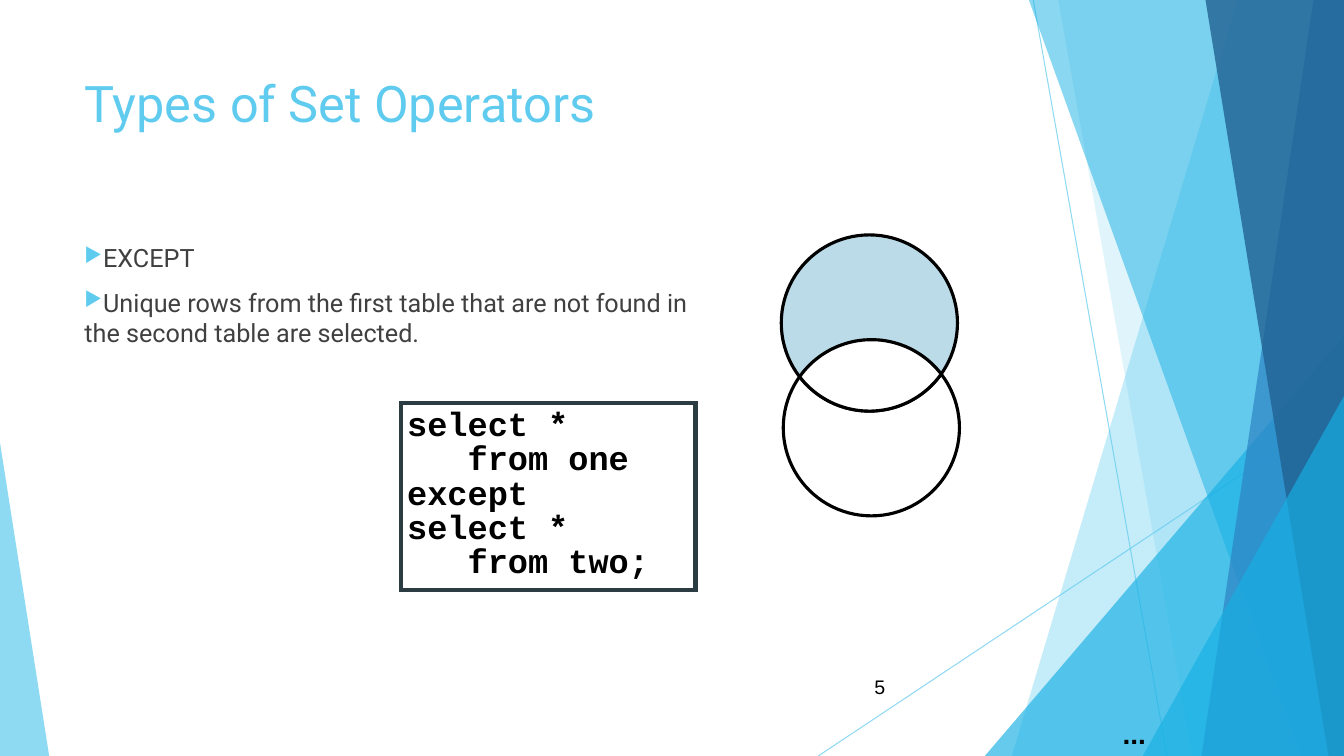
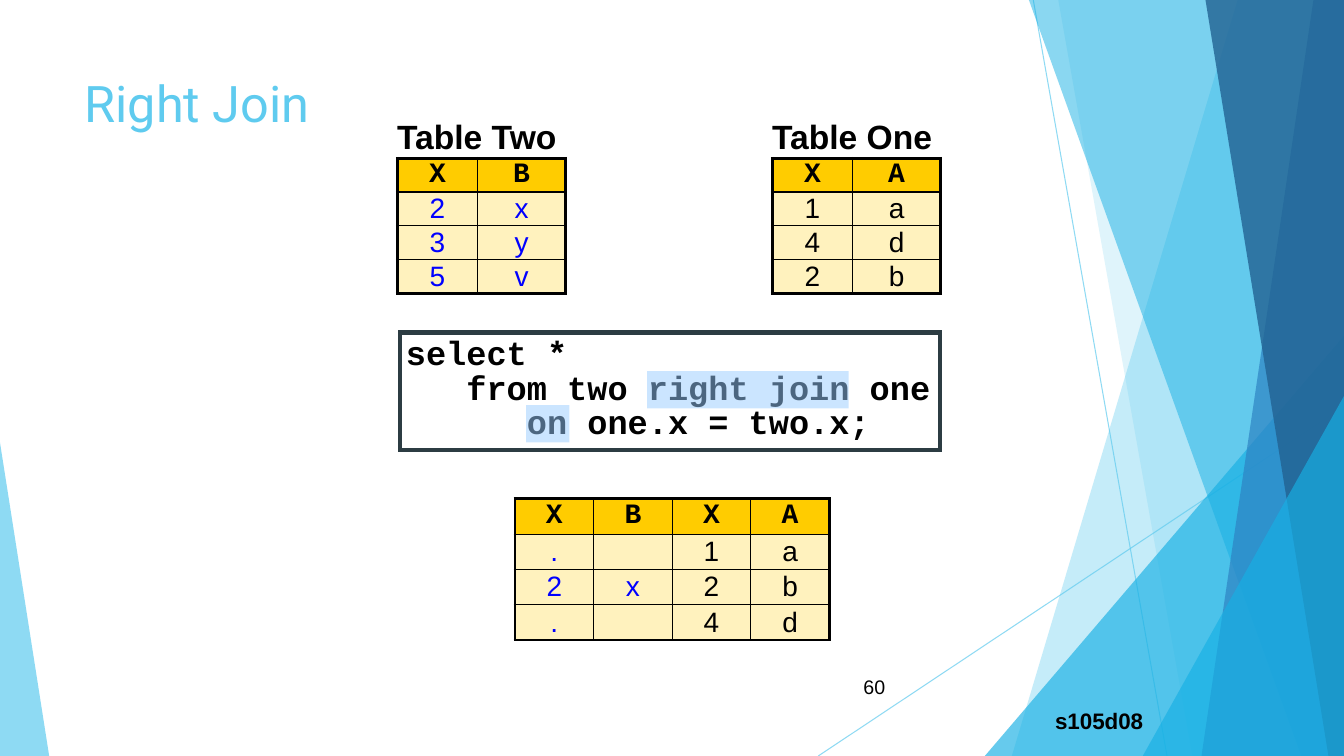
import math

import lxml.etree
import pptx
import pptx.dml.color
import pptx.enum.shapes
import pptx.enum.text
import pptx.oxml.ns
import pptx.util

Cm = pptx.util.Cm
Pt = pptx.util.Pt
RGB = pptx.dml.color.RGBColor
SHAPE = pptx.enum.shapes.MSO_SHAPE
ALIGN = pptx.enum.text.PP_ALIGN
ANCHOR = pptx.enum.text.MSO_ANCHOR
qn = pptx.oxml.ns.qn

SKY = RGB(0x5F, 0xCB, 0xEF)
CYAN = RGB(0x17, 0xB0, 0xE4)
BLUE = RGB(0x2E, 0x83, 0xC3)
NAVY = RGB(0x22, 0x62, 0x92)
GREY = RGB(0x40, 0x40, 0x40)
SLATE = RGB(0x2C, 0x3C, 0x43)
BLACK = RGB(0, 0, 0)
WHITE = RGB(0xFF, 0xFF, 0xFF)
PALE_BLUE = RGB(0xA9, 0xD3, 0xE1)
MARKER = RGB(0x99, 0xCC, 0xFF)
GOLD = RGB(0xFF, 0xCC, 0x00)
CREAM = RGB(0xFF, 0xF2, 0xBE)
LINK_BLUE = RGB(0, 0, 0xFF)

WIDTH, HEIGHT = 33.87, 19.05
RADIUS = 2.22
THICK, THIN = 2.25, 1

TITLE = {"name": "Roboto", "size": Pt(36)}
BODY = {"name": "Roboto", "size": Pt(18)}
PAGE = {"name": "Arial", "size": Pt(14)}
CODE = {"name": "Courier New", "size": Pt(24), "bold": True}
ELLIPSIS = {"name": "Arial", "size": Pt(20), "bold": True}
FILE_TAG = {"name": "Arial", "size": Pt(16), "bold": True}
CAPTION = {"name": "Arial", "size": Pt(24), "bold": True}
HEADER = {"name": "Courier New", "size": Pt(20), "bold": True}
VALUE = {"name": "Arial", "size": Pt(20), "bold": False}

BANDS = [
    ("band", 31.19, 25.5, SKY, 36),
    ("band", 26.67, 30.05, SKY, 20),
    ("corner", 24.82, 8.46, CYAN, 66),
    ("band", 25.93, 32.79, CYAN, 50),
    ("band", 33.1, 30.28, BLUE, 70),
    ("band", 30.38, 33.48, NAVY, 80),
    ("corner", 28.8, 9.98, CYAN, 66),
]


def set_attributes(target, values):
    for name, value in values.items():
        setattr(target, name, value)


def set_alpha(fill_parent, percent):
    color = next(fill_parent.iter(qn("a:srgbClr")))
    lxml.etree.SubElement(color, qn("a:alpha")).set("val", str(percent * 1000))


def paint(shape, fill=None, alpha=100, line=None, line_width=THICK):
    shape.shadow.inherit = False
    shape.fill.solid()
    shape.fill.fore_color.rgb = fill
    if alpha < 100:
        set_alpha(shape._element.spPr, alpha)
    if line is None:
        shape.line.fill.background()
    else:
        shape.line.color.rgb = line
        shape.line.width = Pt(line_width)


def add_preset(slide, kind, bounds, **look):
    shape = slide.shapes.add_shape(kind, *map(Cm, bounds))
    paint(shape, **look)
    return shape


def add_outline(slide, points, **look):
    corners = [(Cm(x), Cm(y)) for x, y in points]
    builder = slide.shapes.build_freeform(*corners[0], scale=1.0)
    builder.add_line_segments(corners[1:], close=True)
    paint(builder.convert_to_shape(), **look)


def add_corner(slide, bounds, apex, **look):
    add_preset(slide, SHAPE.ISOSCELES_TRIANGLE, bounds, **look).adjustments[0] = apex


def add_hairline(slide, *ends):
    line = slide.shapes.add_connector(
        pptx.enum.shapes.MSO_CONNECTOR.STRAIGHT, *map(Cm, ends))
    line.line.color.rgb = SKY
    line.line.width = Pt(0.75)
    properties = line._element.spPr
    set_alpha(properties, 70)
    lxml.etree.SubElement(properties, qn("a:effectLst"))


def write(paragraph, text, style, color, **layout):
    set_attributes(paragraph, layout)
    paragraph.text = text
    for run in paragraph.runs:
        set_attributes(run.font, style)
        run.font.color.rgb = color


def add_text(slide, bounds, text, style, color, frame_values=None, **layout):
    frame = slide.shapes.add_textbox(*map(Cm, bounds)).text_frame
    set_attributes(frame, {"word_wrap": True, **(frame_values or {})})
    write(frame.paragraphs[0], text, style, color, **layout)


def add_bullets(slide, bounds, items):
    frame = slide.shapes.add_textbox(*map(Cm, bounds)).text_frame
    frame.word_wrap = True
    for index, item in enumerate(items):
        paragraph = frame.add_paragraph() if index else frame.paragraphs[0]
        if index:
            paragraph.space_before = Pt(10)
        properties = paragraph._p.get_or_add_pPr()
        color = lxml.etree.SubElement(properties, qn("a:buClr"))
        lxml.etree.SubElement(color, qn("a:srgbClr")).set("val", str(SKY))
        lxml.etree.SubElement(properties, qn("a:buSzPct")).set("val", "80000")
        lxml.etree.SubElement(properties, qn("a:buChar")).set("char", "▶")
        write(paragraph, item, BODY, GREY)


def add_code(slide, bounds, lines):
    box = add_preset(slide, SHAPE.RECTANGLE, bounds,
                     fill=WHITE, line=SLATE, line_width=3)
    border = box._element.spPr.find(qn("a:ln"))
    lxml.etree.SubElement(border, qn("a:miter")).set("lim", "800000")
    frame = box.text_frame
    margins = dict.fromkeys(
        ("margin_left", "margin_right", "margin_top", "margin_bottom"), Cm(0.15))
    set_attributes(frame, {"word_wrap": True, "vertical_anchor": ANCHOR.TOP, **margins})
    for index, line in enumerate(lines):
        paragraph = frame.add_paragraph() if index else frame.paragraphs[0]
        write(paragraph, line, CODE, BLACK, alignment=ALIGN.LEFT, line_spacing=0.85)


def set_borders(cell, widths):
    properties = cell._tc.get_or_add_tcPr()
    for side, width in zip("LRTB", widths):
        line = lxml.etree.SubElement(properties, qn("a:ln" + side))
        line.set("w", str(Pt(width)))
        if width:
            fill = lxml.etree.SubElement(line, qn("a:solidFill"))
            lxml.etree.SubElement(fill, qn("a:srgbClr")).set("val", str(BLACK))
        else:
            lxml.etree.SubElement(line, qn("a:noFill"))


def add_data_table(slide, left, top, column_widths, caption_height, row_height,
                   caption, rows, blue_columns=0):
    last_row, last_column = len(rows), len(column_widths) - 1
    heights = [caption_height] + [row_height] * last_row
    table = slide.shapes.add_table(
        len(heights), len(column_widths), Cm(left), Cm(top),
        Cm(sum(column_widths)), Cm(sum(heights))).table
    set_attributes(table, {"first_row": False, "horz_banding": False})
    for column, width in zip(table.columns, column_widths):
        column.width = Cm(width)
    for row, height in zip(table.rows, heights):
        row.height = Cm(height)

    table.cell(0, 0).merge(table.cell(0, last_column))
    flat = {"margin_top": 0, "margin_bottom": 0, "vertical_anchor": ANCHOR.MIDDLE}
    for column in range(last_column + 1):
        cell = table.cell(0, column)
        set_attributes(cell, {**flat, "margin_left": 0, "margin_right": 0})
        set_borders(cell, (0, 0, 0, THICK))
        cell.fill.background()
    write(table.cell(0, 0).text_frame.paragraphs[0], caption, CAPTION, BLACK)

    for row, values in enumerate(rows, 1):
        is_header = row == 1
        for column, value in enumerate(values):
            cell = table.cell(row, column)
            set_attributes(cell, flat)
            on_edge = (column == 0, column == last_column, is_header, row == last_row)
            set_borders(cell, [THICK if edge else THIN for edge in on_edge])
            cell.fill.solid()
            cell.fill.fore_color.rgb = GOLD if is_header else CREAM
            is_blue = column < blue_columns and not is_header
            write(cell.text_frame.paragraphs[0], value,
                  HEADER if is_header else VALUE,
                  LINK_BLUE if is_blue else BLACK, alignment=ALIGN.CENTER)


def add_except_diagram(slide):
    first, second = (21.91, 8.14), (21.96, 10.78)
    for (x, y), fill, alpha in ((second, WHITE, 100), (first, PALE_BLUE, 80)):
        add_preset(slide, SHAPE.OVAL, (x - RADIUS, y - RADIUS, 2 * RADIUS, 2 * RADIUS),
                   fill=fill, alpha=alpha, line=BLACK)
    direction = math.atan2(second[1] - first[1], second[0] - first[0])
    half_angle = math.acos(math.dist(first, second) / 2 / RADIUS)
    steps = 40
    overlap = []
    for (x, y), middle in ((first, direction), (second, direction + math.pi)):
        for step in range(steps):
            angle = middle + half_angle * (2 * step / steps - 1)
            overlap.append((x + RADIUS * math.cos(angle), y + RADIUS * math.sin(angle)))
    add_outline(slide, overlap, fill=WHITE, line=BLACK)


def start_slide(deck, title, page):
    slide = deck.slides.add_slide(deck.slide_layouts[6])
    add_hairline(slide, 26.04, 0, 29.41, HEIGHT)
    add_hairline(slide, WIDTH, 10.24, 20.62, HEIGHT)
    for kind, start, end, color, alpha in BANDS:
        if kind == "band":
            corners = [(start, 0), (WIDTH, 0), (WIDTH, HEIGHT), (end, HEIGHT)]
            add_outline(slide, corners, fill=color, alpha=alpha)
        else:
            add_corner(slide, (start, end, WIDTH - start, HEIGHT - end), 1,
                       fill=color, alpha=alpha)
    add_corner(slide, (0, 11.15, 1.24, 7.9), 0, fill=SKY, alpha=70)
    add_text(slide, (1.88, 1.7, 23.88, 3.66), title, TITLE, SKY)
    add_text(slide, (20.02, 16.79, 2.54, 1.02), page, PAGE, BLACK,
             {"vertical_anchor": ANCHOR.MIDDLE}, alignment=ALIGN.RIGHT)
    return slide


def build_except_slide(deck):
    slide = start_slide(deck, "Types of Set Operators", "5")
    add_bullets(slide, (1.88, 5.99, 23.88, 10.77), [
        "EXCEPT",
        "Unique rows from the first table that are not found in\v"
        "the second table are selected.",
    ])
    add_code(slide, (10.11, 10.16, 7.42, 4.7), [
        "select *", "   from one", "except", "select *", "   from two;"])
    add_except_diagram(slide)
    add_text(slide, (28.04, 17.93, 1.09, 1.12), "...", ELLIPSIS, BLACK,
             {"word_wrap": False})


def build_join_slide(deck):
    slide = start_slide(deck, "Right Join", "60")
    add_code(slide, (10.08, 8.38, 13.61, 2.97), [
        "select *", "   from two right join one", "      on one.x = two.x;"])
    source_size = ((2.03, 2.21), 1.02, 0.85)
    add_data_table(slide, 19.46, 2.97, *source_size, "Table One",
                   ["XA", "1a", "4d", "2b"])
    add_data_table(slide, 10.01, 2.97, *source_size, "Table Two",
                   ["XB", "2x", "3y", "5v"], blue_columns=2)
    add_data_table(slide, 12.98, 11.53, (1.98,) * 4, 1.04, 0.89, "", [
        ("X", "B", "X", "A"),
        (".", "", "1", "a"),
        ("2", "x", "2", "b"),
        (".", "", "4", "d"),
    ], blue_columns=2)
    add_text(slide, (25.56, 17.58, 3.5, 1.17), "s105d08", FILE_TAG, BLACK,
             {"margin_top": Cm(0.25), "margin_bottom": Cm(0.25)},
             alignment=ALIGN.RIGHT)
    for keyword in ((16.31, 9.35, 5.08, 0.94), (13.26, 10.21, 1.09, 0.94)):
        add_preset(slide, SHAPE.RECTANGLE, keyword, fill=MARKER, alpha=50)


def main():
    deck = pptx.Presentation()
    set_attributes(deck, {"slide_width": Cm(WIDTH), "slide_height": Cm(HEIGHT)})
    build_except_slide(deck)
    build_join_slide(deck)
    deck.save("out.pptx")


if __name__ == "__main__":
    main()
